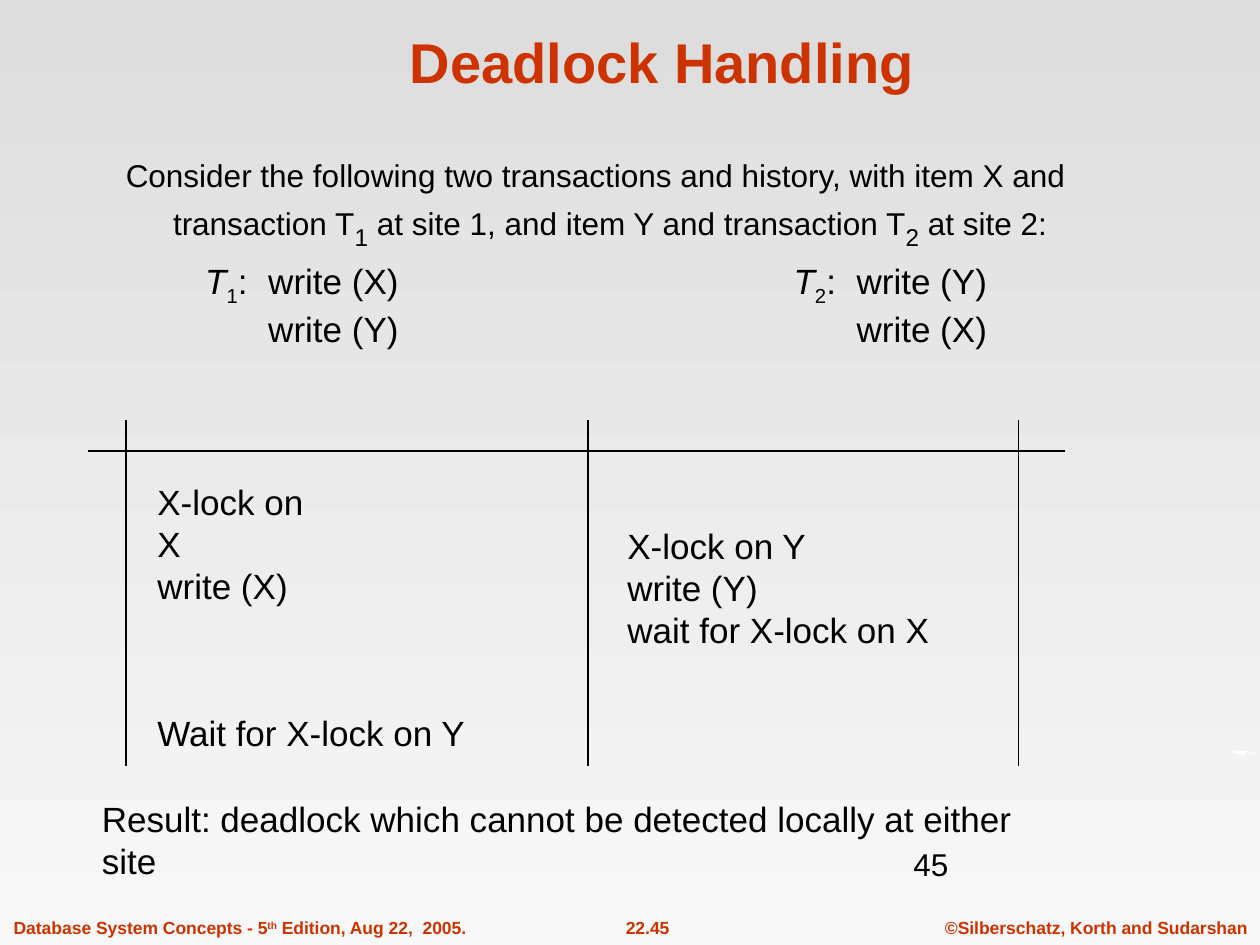
"""Build the Deadlock Handling slide with its two-site lock history."""
from lxml import etree
from pptx import Presentation
from pptx.dml.color import RGBColor
from pptx.enum import shapes, text
from pptx.oxml.ns import qn
from pptx.util import Pt

COLORS = {"accent": "CC3300", "ink": "000000", "white": "FFFFFF", "top": "DDDDDD", "bottom": "F8F8F8"}
FONT = "Arial"
WIDTH, HEIGHT = 720, 540

TITLE = "Deadlock Handling"
INTRO = [[
    "Consider the following two transactions and history, with item X and transaction T",
    ("1", {"size": 24, "base": -25}),
    " at site 1, and item Y and transaction T",
    ("2", {"size": 24, "base": -25}),
    " at site 2:",
]]
TRANSACTIONS = [("1", "X", "Y", 110.2), ("2", "Y", "X", 446.4)]
HISTORY = [
    (["X-lock on X", "write (X)"], (82.8, 270.9, 116.6, 55.4)),
    (["X-lock on Y", "write (Y)", "wait for X-lock on X"], (351.4, 296, 187.2, 79.2)),
    (["Wait for X-lock on Y"], (82.8, 403.2, 191.5, 31.7)),
    (["Result: deadlock which cannot be detected locally at either site"], (51.1, 452.2, 571, 31.7)),
]
COLUMN_LINES = [72, 336, 582]
COLUMN_TOP, COLUMN_BOTTOM = 240, 437.8
HEADER_LINE = (50.4, 257.8, 608.4, 257.8)
EDITION = ["Database System Concepts - 5", ("th", {"base": 30}), " Edition, Aug 22,  2005."]
FOOTER = [
    ([EDITION], 0.7, 273, "LEFT"),
    (["22.45"], 331.9, 76.3, "CENTER"),
    (["©Silberschatz, Korth and Sudarshan"], 532.8, 187.2, "CENTER"),
]
SWOOSH = [
    (702, 432.7), (702.7, 430.6), (705, 429.4), (708.5, 428.6), (711.4, 428.7),
    (715, 429.8), (720, 430.6), (719, 431.3), (716.5, 430.8), (711.5, 429.8),
    (711.4, 432), (709.2, 429.8), (709.2, 432), (707, 429.8), (707.7, 432),
    (705.6, 430.4), (703.4, 431.3),
]


def rgb(name):
    """Return a named colour."""
    return RGBColor.from_string(COLORS[name])


def write(tf, paragraphs, size=20, color="ink", bold=False, align="LEFT"):
    """Fill a text frame; a paragraph is a string or a list of runs."""
    for i, runs in enumerate(paragraphs):
        p = tf.paragraphs[0] if i == 0 else tf.add_paragraph()
        p.alignment = getattr(text.PP_ALIGN, align)
        for run in [runs] if isinstance(runs, str) else runs:
            words, style = (run, {}) if isinstance(run, str) else run
            r = p.add_run()
            r.text = words
            r.font.name, r.font.bold = FONT, bold
            r.font.size = Pt(style.get("size", size))
            r.font.color.rgb = rgb(color)
            if "italic" in style:
                r.font.italic = style["italic"]
            if "base" in style:
                r.font._element.set("baseline", str(style["base"] * 1000))


def add_text(slide, paragraphs, box, wrap=False, **style):
    """Add a text box and return its text frame."""
    tf = slide.shapes.add_textbox(*map(Pt, box)).text_frame
    tf.word_wrap = wrap
    write(tf, paragraphs, **style)
    return tf


def add_line(slide, *ends):
    """Add a thin black line between two points."""
    line = slide.shapes.add_connector(shapes.MSO_CONNECTOR.STRAIGHT, *map(Pt, ends))
    line.line.color.rgb = rgb("ink")
    line.line.width = Pt(0.75)
    etree.SubElement(line._element.spPr, qn("a:effectLst"))


def add_swoosh(slide):
    """Add the small white stroke at the right edge."""
    builder = slide.shapes.build_freeform(*SWOOSH[0], scale=Pt(1))
    builder.add_line_segments(SWOOSH[1:], close=True)
    sp = builder.convert_to_shape()
    sp.shadow.inherit = False
    sp.fill.solid()
    sp.fill.fore_color.rgb = rgb("white")
    sp.line.fill.background()


def main():
    """Assemble and save the slide."""
    prs = Presentation()
    prs.slide_width, prs.slide_height = Pt(WIDTH), Pt(HEIGHT)
    slide = prs.slides.add_slide(prs.slide_layouts[5])

    fill = slide.background.fill
    fill.gradient()
    fill.gradient_angle = 270
    for stop, name in zip(fill.gradient_stops, ("top", "bottom")):
        stop.color.rgb = rgb(name)

    for paragraphs, left, width, align in FOOTER:
        add_text(slide, paragraphs, (left, 520.6, width, 19.4),
                 size=10, color="accent", bold=True, align=align)
    add_swoosh(slide)

    title = slide.shapes.title
    title.left, title.top, title.width, title.height = map(Pt, (60.5, 9.4, 635.8, 48.2))
    tf = title.text_frame
    tf.auto_size = text.MSO_AUTO_SIZE.NONE
    tf.vertical_anchor = text.MSO_ANCHOR.BOTTOM
    write(tf, [TITLE], size=32, color="accent", bold=True, align="CENTER")

    tf = add_text(slide, INTRO, (64.8, 85.7, 623.5, 60.5), wrap=True, size=18)
    pPr = tf.paragraphs[0]._p.get_or_add_pPr()
    pPr.set("marL", str(Pt(27)))
    pPr.set("indent", str(Pt(-27)))

    for number, first, second, left in TRANSACTIONS:
        label = [("T", {"italic": True}), (number, {"base": -25}), f":\twrite ({first})"]
        add_text(slide, [label, f"\twrite ({second})"], (left, 144.7, 160.6, 59))

    for x in COLUMN_LINES:
        add_line(slide, x, COLUMN_TOP, x, COLUMN_BOTTOM)
    add_line(slide, *HEADER_LINE)

    for paragraphs, box in HISTORY:
        add_text(slide, paragraphs, box)
    add_text(slide, ["45"], (514.8, 479.5, 149.8, 36), wrap=True, size=18)
    prs.save("out.pptx")


if __name__ == "__main__":
    main()
